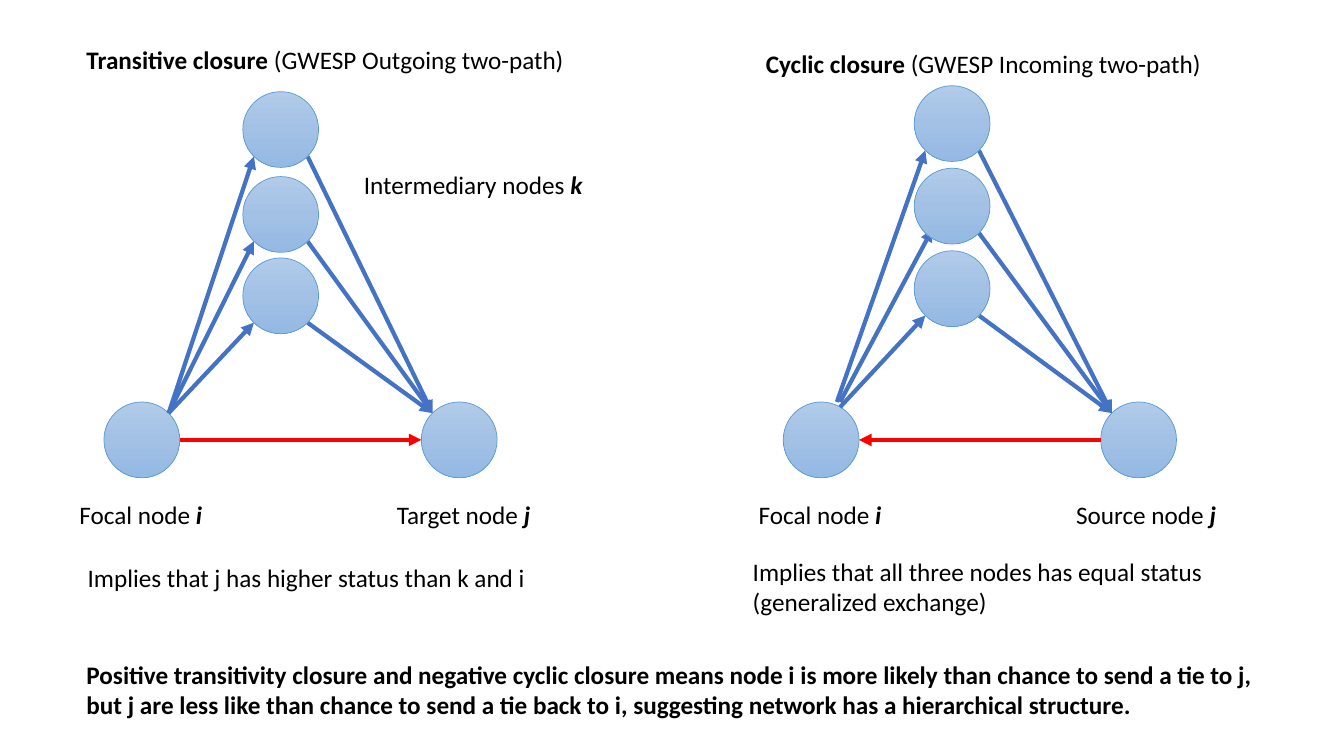
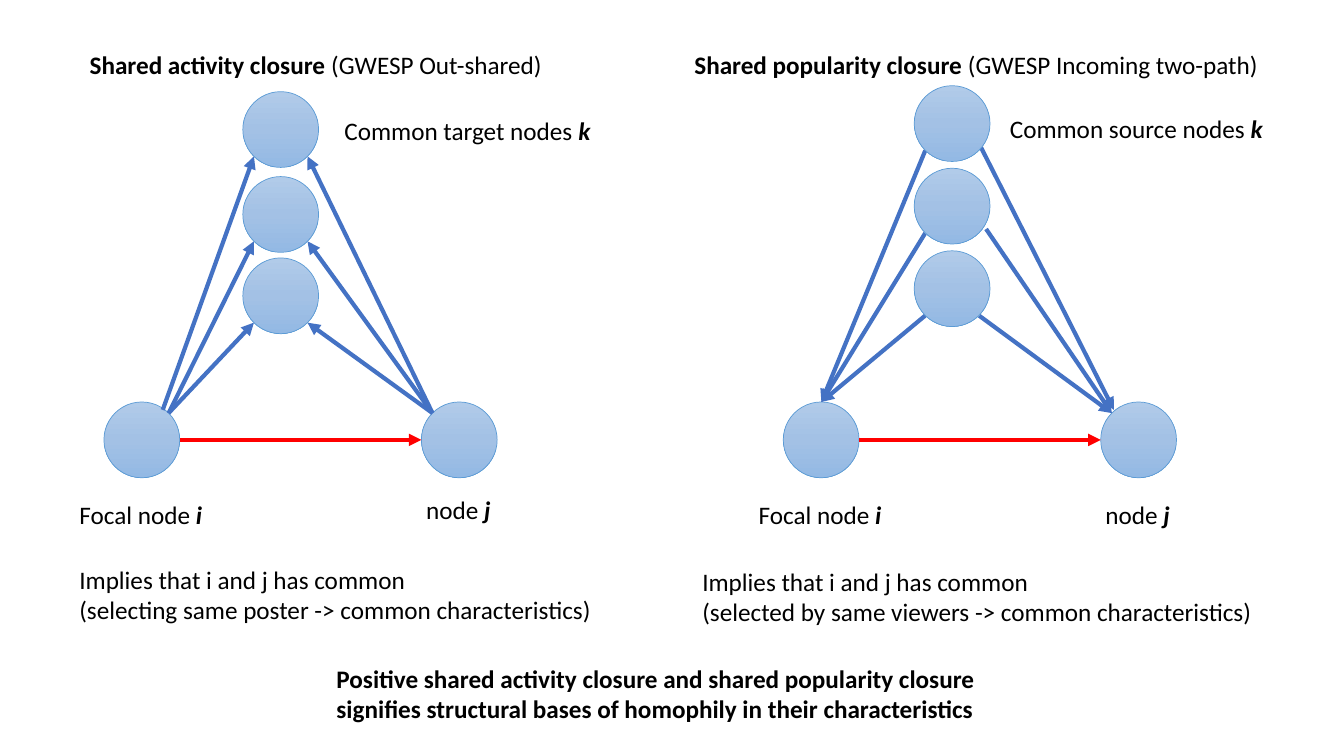
from copy import deepcopy
from dataclasses import dataclass, field
from math import sqrt
from typing import NamedTuple

from lxml.etree import SubElement
from pptx import Presentation
from pptx.dml.color import RGBColor
from pptx.enum.shapes import MSO_CONNECTOR, MSO_SHAPE
from pptx.enum.text import MSO_AUTO_SIZE as AutoSize
from pptx.oxml.ns import qn
from pptx.slide import Slide
from pptx.util import Cm, Pt

BLACK = RGBColor(0x00, 0x00, 0x00)
RED = RGBColor(0xFF, 0x00, 0x00)
BLUE = RGBColor(0x44, 0x72, 0xC4)
NODE_EDGE = RGBColor(0x5B, 0x9B, 0xD5)
NODE_SHADES = (
    (0.0, RGBColor(0xB1, 0xCB, 0xE9)),
    (0.5, RGBColor(0xA3, 0xC1, 0xE5)),
    (1.0, RGBColor(0x93, 0xB9, 0xE4)),
)

PLAIN = {"name": "Calibri", "size": Pt(18), "bold": False, "italic": False}
BOLD = PLAIN | {"bold": True}
BOLD_ITALIC = BOLD | {"italic": True}

# All lengths below are centimetres.
NODE_SIZE = 1.91
RADIUS = NODE_SIZE / 2
CORNER = RADIUS / sqrt(2)
BASE_TOP = 10.13
TARGET_STEP = 8.0
LABEL_TOP = 12.47
LINE_HEIGHT, EXTRA_LINE = 1.02, 0.78


class Point(NamedTuple):
    """A place or an offset on the page."""
    x: float
    y: float

    def shift(self, dx: float, dy: float) -> "Point":
        """Return the point moved by the offset."""
        return Point(self.x + dx, self.y + dy)


class Span(NamedTuple):
    """A stretch of text in one format."""
    text: str
    style: dict = PLAIN


class Label(NamedTuple):
    """A text box made of lines of spans."""
    left: float
    top: float
    width: float
    lines: list[list[Span]]


class Nudge(NamedTuple):
    """How far a link's two ends lie from the corners of their nodes."""
    base: Point = Point(0, 0)
    middle: Point = Point(0, 0)


@dataclass
class Triad:
    """Two base nodes, a column of middle nodes and the links among them."""
    left: float
    middle_left: float
    middle_tops: tuple[float, ...]
    labels: list[Label]
    focal_sends: bool = True
    other_receives: bool = True
    red_forward: bool = True
    focal_nudges: dict[int, Nudge] = field(default_factory=dict)
    other_nudges: dict[int, Nudge] = field(default_factory=dict)


def titled(strong: str, rest: str) -> list[list[Span]]:
    """Return a heading with a bold start."""
    return [[Span(strong, BOLD), Span(rest)]]


def named(role: str, letter: str) -> list[list[Span]]:
    """Return a node's role followed by its letter."""
    return [[Span(role), Span(letter, BOLD_ITALIC)]]


def lines(*texts: str, style: dict = PLAIN) -> list[list[Span]]:
    """Return lines in a single format."""
    return [[Span(text, style)] for text in texts]


def add_label(page: Slide, label: Label) -> None:
    """Write a label on the page."""
    height = LINE_HEIGHT + EXTRA_LINE * (len(label.lines) - 1)
    box = page.shapes.add_textbox(
        Cm(label.left), Cm(label.top), Cm(label.width), Cm(height))
    frame = box.text_frame
    frame.word_wrap = False
    frame.auto_size = AutoSize.SHAPE_TO_FIT_TEXT
    for index, spans in enumerate(label.lines):
        para = frame.add_paragraph() if index else frame.paragraphs[0]
        for text, style in spans:
            span = para.add_run()
            span.text = text
            for name, value in style.items():
                setattr(span.font, name, value)
            span.font.color.rgb = BLACK


def add_node(page: Slide, centre: Point) -> None:
    """Draw a shaded round node."""
    corner = centre.shift(-RADIUS, -RADIUS)
    node = page.shapes.add_shape(
        MSO_SHAPE.OVAL, Cm(corner.x), Cm(corner.y), Cm(NODE_SIZE), Cm(NODE_SIZE))
    node.shadow.inherit = False
    node.line.color.rgb = NODE_EDGE
    node.line.width = Pt(0.5)
    node.fill.gradient()
    node.fill.gradient_angle = 270
    first = next(node._element.spPr.iter(qn("a:gs")))
    first.addnext(deepcopy(first))
    for stop, (position, shade) in zip(node.fill.gradient_stops, NODE_SHADES):
        stop.position = position
        stop.color.rgb = shade


def add_arrow(page: Slide, start: Point, end: Point, color: RGBColor) -> None:
    """Draw a straight arrow from start to end."""
    arrow = page.shapes.add_connector(
        MSO_CONNECTOR.STRAIGHT, Cm(start.x), Cm(start.y), Cm(end.x), Cm(end.y))
    arrow.line.color.rgb = color
    arrow.line.width = Pt(3)
    SubElement(arrow.line._get_or_add_ln(), qn("a:tailEnd"), type="triangle")
    SubElement(arrow._element.spPr, qn("a:effectLst"))


def add_triad(page: Slide, triad: Triad) -> None:
    """Draw a triad: base nodes, links, middle nodes, labels."""
    focal = Point(triad.left + RADIUS, BASE_TOP + RADIUS)
    other = focal.shift(TARGET_STEP, 0)
    middles = [Point(triad.middle_left + RADIUS, top + RADIUS)
               for top in triad.middle_tops]
    for base in (focal, other):
        add_node(page, base)

    sides = (
        (focal, CORNER, triad.focal_sends, triad.focal_nudges),
        (other, -CORNER, not triad.other_receives, triad.other_nudges),
    )
    for base, inward, upward, nudges in sides:
        for index, middle in enumerate(middles):
            nudge = nudges.get(index, Nudge())
            ends = [base.shift(inward, -CORNER).shift(*nudge.base),
                    middle.shift(-inward, CORNER).shift(*nudge.middle)]
            add_arrow(page, *(ends if upward else ends[::-1]), BLUE)

    ends = [focal.shift(RADIUS, 0), other.shift(-RADIUS, 0)]
    add_arrow(page, *(ends if triad.red_forward else ends[::-1]), RED)
    for middle in middles:
        add_node(page, middle)
    focal_label = Label(triad.left - 0.87, LABEL_TOP, 3.63, named("Focal node ", "i"))
    for label in (focal_label, *triad.labels):
        add_label(page, label)


LEFT_PLACE = {"left": 2.62, "middle_left": 6.12, "middle_tops": (2.31, 4.45, 6.5)}
RIGHT_PLACE = {"left": 19.74, "middle_left": 23.04, "middle_tops": (2.16, 4.24, 6.32)}
TOP_OF_FOCAL = Nudge(base=Point(-0.67, -0.28))

TRANSITIVE = Triad(**LEFT_PLACE, labels=[
    Label(1.93, 0.99, 12.65, titled("Transitive closure ", "(GWESP Outgoing two-path)")),
    Label(8.92, 4.14, 6.07, named("Intermediary nodes ", "k")),
    Label(9.75, LABEL_TOP, 4.06, named("Target node ", "j")),
    Label(1.96, 14.05, 11.66, lines("Implies that j has higher status than k and i")),
])

CYCLIC = Triad(
    **RIGHT_PLACE,
    labels=[
        Label(19.05, 1.09, 11.58, titled("Cyclic closure ", "(GWESP Incoming two-path)")),
        Label(26.87, LABEL_TOP, 4.09, named("Source node ", "j")),
        Label(18.72, 13.89, 12.12, lines(
            "Implies that all three nodes has equal status",
            "(generalized exchange)")),
    ],
    red_forward=False,
    focal_nudges={
        0: Nudge(base=Point(-0.28, -0.28)),
        1: Nudge(base=Point(-0.2, -0.28), middle=Point(0.18, -0.1)),
        2: Nudge(base=Point(-0.2, -0.15)),
    },
)

SHARED_ACTIVITY = Triad(
    **LEFT_PLACE,
    labels=[
        Label(2.01, 1.12, 12.01, titled("Shared activity closure ", "(GWESP Out-shared)")),
        Label(8.43, 2.77, 6.78, named("Common target nodes ", "k")),
        Label(10.49, 12.32, 2.16, named("node ", "j")),
        Label(1.75, 14.1, 13.56, lines(
            "Implies that i and j has common",
            "(selecting same poster -> common characteristics)")),
    ],
    other_receives=False,
    focal_nudges={0: Nudge(base=Point(-0.15, -0.08))},
)

SHARED_POPULARITY = Triad(
    **RIGHT_PLACE,
    labels=[
        Label(17.25, 1.12, 14.83,
              titled("Shared popularity closure ", "(GWESP Incoming two-path)")),
        Label(25.2, 2.72, 6.96, named("Common source nodes ", "k")),
        Label(27.61, 12.45, 2.16, named("node ", "j")),
        Label(17.45, 14.15, 14.5, lines(
            "Implies that i and j has common",
            "(selected by same viewers -> common characteristics)")),
    ],
    focal_sends=False,
    focal_nudges=dict.fromkeys(range(3), TOP_OF_FOCAL),
    other_nudges={
        0: Nudge(base=Point(0.05, -0.08), middle=Point(0.05, -0.08)),
        1: Nudge(middle=Point(0.18, -0.1)),
    },
)

HIERARCHY = Label(1.93, 16.48, 30.28, lines(
    "Positive transitivity closure and negative cyclic closure means node i "
    "is more likely than chance to send a tie to j,",
    "but j are less like than chance to send a tie back to i, "
    "suggesting network has a hierarchical structure.", style=BOLD))
HOMOPHILY = Label(8.23, 16.59, 16.97, lines(
    "Positive shared activity closure and shared popularity closure",
    "signifies structural bases of homophily in their characteristics", style=BOLD))

PAGES = (
    ((TRANSITIVE, CYCLIC), HIERARCHY),
    ((SHARED_ACTIVITY, SHARED_POPULARITY), HOMOPHILY),
)


def build() -> None:
    """Build the deck and save it."""
    deck = Presentation()
    deck.slide_width, deck.slide_height = Cm(33.87), Cm(19.05)
    for triads, conclusion in PAGES:
        page = deck.slides.add_slide(deck.slide_layouts[6])
        for triad in triads:
            add_triad(page, triad)
        add_label(page, conclusion)
    deck.save("out.pptx")


build()
